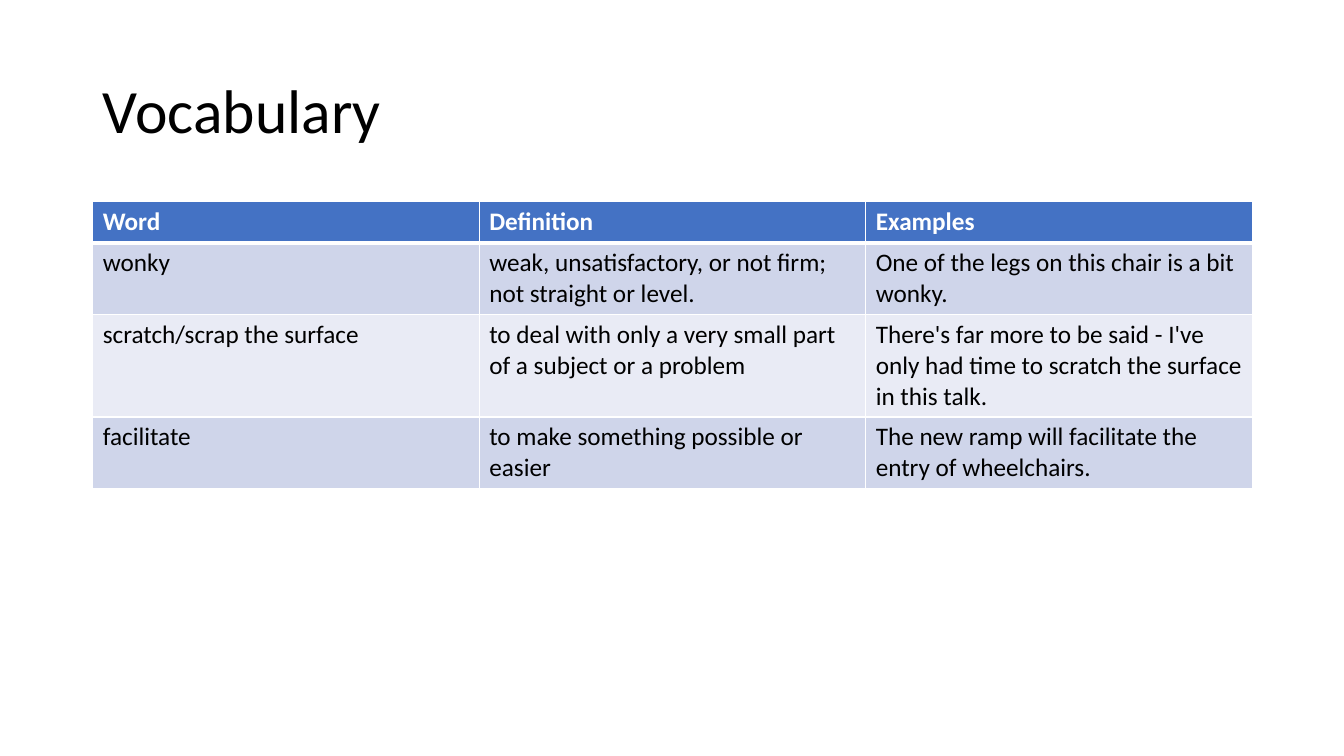
from typing import NamedTuple

from lxml.etree import SubElement
from pptx import Presentation
from pptx.dml.color import RGBColor
from pptx.enum.text import MSO_ANCHOR, PP_ALIGN
from pptx.oxml.ns import qn
from pptx.util import Inches, Pt

FONT = "Calibri"
WIDE, HIGH = 13.33, 7.5
LEFT, SPAN = 0.92, 11.5
ROW = 0.41


class Entry(NamedTuple):
    """One row of the vocabulary table."""
    word: str
    meaning: str
    example: str


class Look(NamedTuple):
    """Colours, weight and rule widths of a table row."""
    fill: str
    ink: str
    bold: bool
    top: int
    bottom: int


ENTRIES = [
    Entry("Word", "Definition", "Examples"),
    Entry("wonky",
          "weak, unsatisfactory, or not firm;\nnot straight or level.",
          "One of the legs on this chair is a bit wonky."),
    Entry("scratch/scrap the surface",
          "to deal with only a very small part of a subject or a problem",
          "There's far more to be said - I've only had time to scratch "
          "the surface in this talk."),
    Entry("facilitate",
          "to make something possible or easier",
          "The new ramp will facilitate the entry of wheelchairs."),
]


def color(code: str) -> RGBColor:
    """Turn a hex string into a colour."""
    return RGBColor.from_string(code)


def style(para, size: int, ink: str, bold: bool = False) -> None:
    """Set the font of a paragraph."""
    font = para.font
    font.name, font.size, font.bold = FONT, Pt(size), bold
    font.color.rgb = color(ink)


def look(row: int) -> Look:
    """Choose the look of a row by its place."""
    if row == 0:
        return Look("4472C4", "FFFFFF", True, 1, 3)
    fill = "CFD5EA" if row % 2 else "E9EBF5"
    return Look(fill, "000000", False, 3 if row == 1 else 1, 1)


def edge(cell, side: str, width: int) -> None:
    """Draw a white rule on one side of a cell."""
    props = cell._tc.get_or_add_tcPr()
    line = SubElement(props, qn(f"a:ln{side}"), w=str(Pt(width)))
    fill = SubElement(line, qn("a:solidFill"))
    SubElement(fill, qn("a:srgbClr"), val="FFFFFF")


def paint(cell, text: str, kind: Look) -> None:
    """Fill a cell with its text, rules and colour."""
    cell.text = text
    for para in cell.text_frame.paragraphs:
        style(para, 18, kind.ink, kind.bold)
    for side, width in zip("LRTB", (1, 1, kind.top, kind.bottom)):
        edge(cell, side, width)
    cell.fill.solid()
    cell.fill.fore_color.rgb = color(kind.fill)


def head(slide, text: str) -> None:
    """Place and format the title."""
    title = slide.shapes.title
    title.left, title.top = Inches(LEFT), Inches(0.4)
    title.width, title.height = Inches(SPAN), Inches(1.45)
    frame = title.text_frame
    frame.text = text
    frame.vertical_anchor = MSO_ANCHOR.MIDDLE
    para = frame.paragraphs[0]
    para.alignment, para.line_spacing = PP_ALIGN.LEFT, 0.9
    style(para, 44, "000000")


def grid(slide, entries: list[Entry]) -> None:
    """Draw the vocabulary table."""
    table = slide.shapes.add_table(
        len(entries), len(Entry._fields), Inches(LEFT), Inches(2),
        Inches(SPAN), Inches(ROW * len(entries))).table
    for row, entry in enumerate(entries):
        for col, text in enumerate(entry):
            paint(table.cell(row, col), text, look(row))


def main() -> None:
    """Build and save the slide."""
    deck = Presentation()
    deck.slide_width, deck.slide_height = Inches(WIDE), Inches(HIGH)
    slide = deck.slides.add_slide(deck.slide_layouts.get_by_name("Title Only"))
    head(slide, "Vocabulary")
    grid(slide, ENTRIES)
    deck.save("out.pptx")


main()
